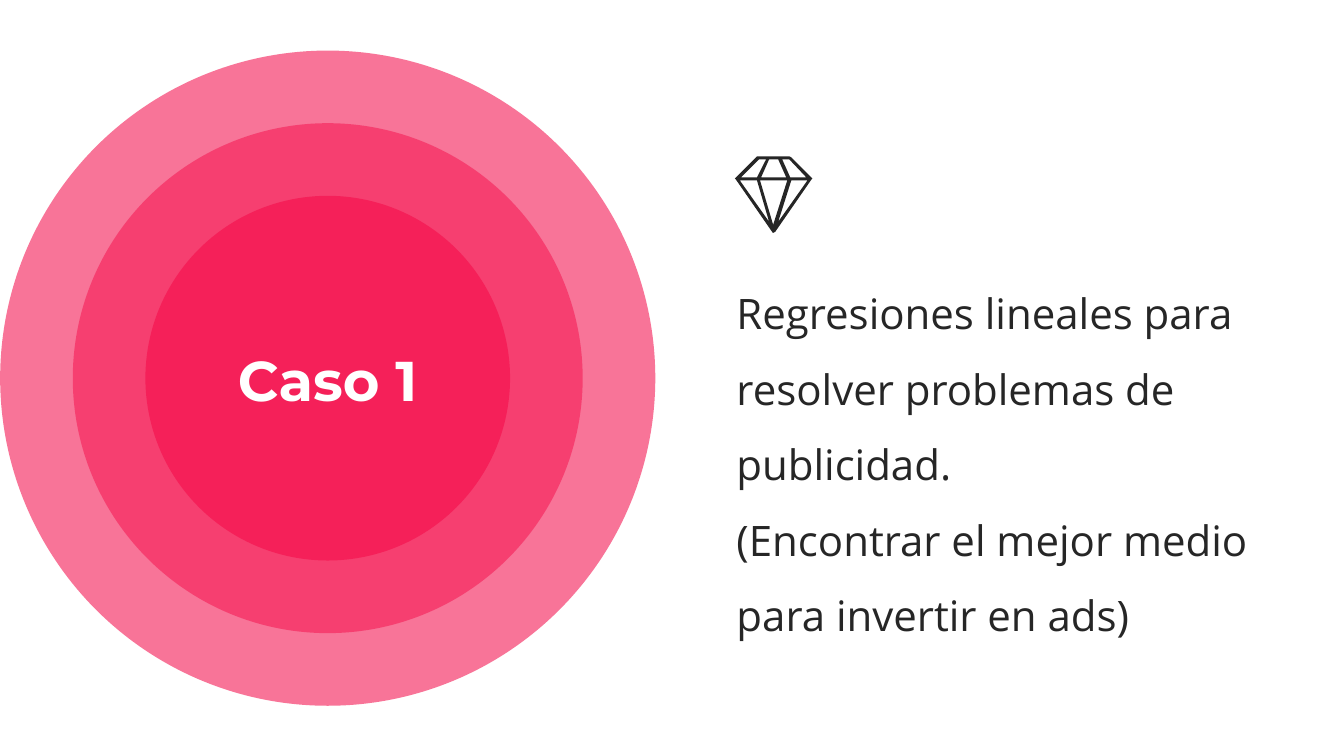
from dataclasses import dataclass

from lxml.etree import SubElement
from pptx import Presentation
from pptx.dml.color import RGBColor
from pptx.enum.shapes import MSO_SHAPE as Preset
from pptx.enum.text import MSO_ANCHOR as Anchor
from pptx.enum.text import MSO_AUTO_SIZE as AutoSize
from pptx.enum.text import PP_ALIGN as Align
from pptx.oxml.ns import qn
from pptx.shapes.base import BaseShape
from pptx.shapes.group import GroupShape
from pptx.slide import Slide
from pptx.text.text import TextFrame
from pptx.util import Cm, Pt

PINK = RGBColor(0xF5, 0x20, 0x59)
DARK = RGBColor(0x26, 0x26, 0x26)
WHITE = RGBColor(0xFF, 0xFF, 0xFF)

RING_CENTER_X, RING_CENTER_Y = 8.26, 9.53
HUNDREDTH_INCH = Cm(0.0254)

Contour = list[tuple[int, int]]


@dataclass(frozen=True)
class Ring:
    diameter: float
    opacity: int


@dataclass(frozen=True)
class Box:
    left: float
    top: float
    width: float
    height: float
    top_inset: float


@dataclass(frozen=True)
class TextStyle:
    font: str
    size: int
    color: RGBColor
    bold: bool
    align: Align
    line_spacing: float


RINGS = [Ring(16.51, 62), Ring(12.85, 62), Ring(9.19, 100)]

TITLE_BOX = Box(2.69, 5.18, 11.13, 7.09, 3.53)
BODY_BOX = Box(18.31, 6.48, 14.55, 9.25, 0.13)
TITLE_STYLE = TextStyle("Montserrat", 40, WHITE, True, Align.CENTER, 1.0)
BODY_STYLE = TextStyle("Open Sans", 30, DARK, False, Align.LEFT, 1.5)
BODY_LINES = [
    "Regresiones lineales para resolver problemas de publicidad.",
    "(Encontrar el mejor medio para invertir en ads)",
]

# Outer edge of the diamond, then its six facets, in hundredths of an inch
DIAMOND: list[Contour] = [
    [(22, 0), (54, 0), (56, 1), (76, 21), (77, 22), (76, 23),
     (40, 75), (38, 76), (37, 75), (1, 23), (0, 22), (1, 21), (21, 1)],
    [(43, 65), (56, 24), (72, 24)],
    [(38, 68), (25, 24), (52, 24)],
    [(5, 24), (22, 24), (34, 65)],
    [(24, 3), (31, 3), (22, 21), (6, 21)],
    [(43, 3), (51, 21), (26, 21), (34, 3)],
    [(54, 3), (71, 21), (55, 21), (47, 3)],
]


def paint(shape: BaseShape, color: RGBColor, opacity: int = 100) -> None:
    """Give the shape a plain fill with no line or shadow."""
    shape.shadow.inherit = False
    shape.line.fill.background()
    shape.fill.solid()
    shape.fill.fore_color.rgb = color
    if opacity < 100:
        color_element = shape.element.spPr.find(f"{qn('a:solidFill')}/{qn('a:srgbClr')}")
        SubElement(color_element, qn("a:alpha"), val=str(opacity * 1000))


def add_ring(group: GroupShape, ring: Ring) -> None:
    radius = ring.diameter / 2
    shape = group.shapes.add_shape(
        Preset.OVAL,
        Cm(RING_CENTER_X - radius), Cm(RING_CENTER_Y - radius),
        Cm(ring.diameter), Cm(ring.diameter),
    )
    paint(shape, PINK, ring.opacity)


def add_diamond(slide: Slide) -> None:
    outline, *facets = DIAMOND
    builder = slide.shapes.build_freeform(*outline[0], scale=HUNDREDTH_INCH)
    builder.add_line_segments(outline[1:], close=True)
    for facet in facets:
        builder.move_to(*facet[0])
        builder.add_line_segments(facet[1:], close=True)
    paint(builder.convert_to_shape(Cm(18.52), Cm(3.94)), DARK)


def place(slide: Slide, shape: BaseShape, box: Box) -> TextFrame:
    """Move a placeholder to its box, in front of what is drawn so far."""
    slide.shapes.element.append(shape.element)
    shape.left, shape.top = Cm(box.left), Cm(box.top)
    shape.width, shape.height = Cm(box.width), Cm(box.height)
    frame = shape.text_frame
    frame.word_wrap = True
    frame.auto_size = AutoSize.NONE
    frame.vertical_anchor = Anchor.TOP
    frame.margin_left = frame.margin_right = Cm(0.25)
    frame.margin_top, frame.margin_bottom = Cm(box.top_inset), Cm(0.13)
    return frame


def write(frame: TextFrame, lines: list[str], style: TextStyle) -> None:
    for index, line in enumerate(lines):
        paragraph = frame.add_paragraph() if index else frame.paragraphs[0]
        paragraph.alignment = style.align
        paragraph.line_spacing = style.line_spacing
        paragraph.space_before = Pt(0)
        properties = paragraph._p.get_or_add_pPr()
        properties.set("marL", "0")
        properties.set("indent", "0")
        SubElement(properties, qn("a:buNone"))
        run = paragraph.add_run()
        run.text = line
        run.font.name = style.font
        run.font.size = Pt(style.size)
        run.font.bold = style.bold
        run.font.color.rgb = style.color


def main() -> None:
    presentation = Presentation()
    presentation.slide_width, presentation.slide_height = Cm(33.87), Cm(19.05)
    slide = presentation.slides.add_slide(presentation.slide_layouts[1])

    rings = slide.shapes.add_group_shape()
    for ring in RINGS:
        add_ring(rings, ring)
    write(place(slide, slide.shapes.title, TITLE_BOX), ["Caso 1"], TITLE_STYLE)

    add_diamond(slide)
    write(place(slide, slide.placeholders[1], BODY_BOX), BODY_LINES, BODY_STYLE)

    presentation.save("out.pptx")


if __name__ == "__main__":
    main()
